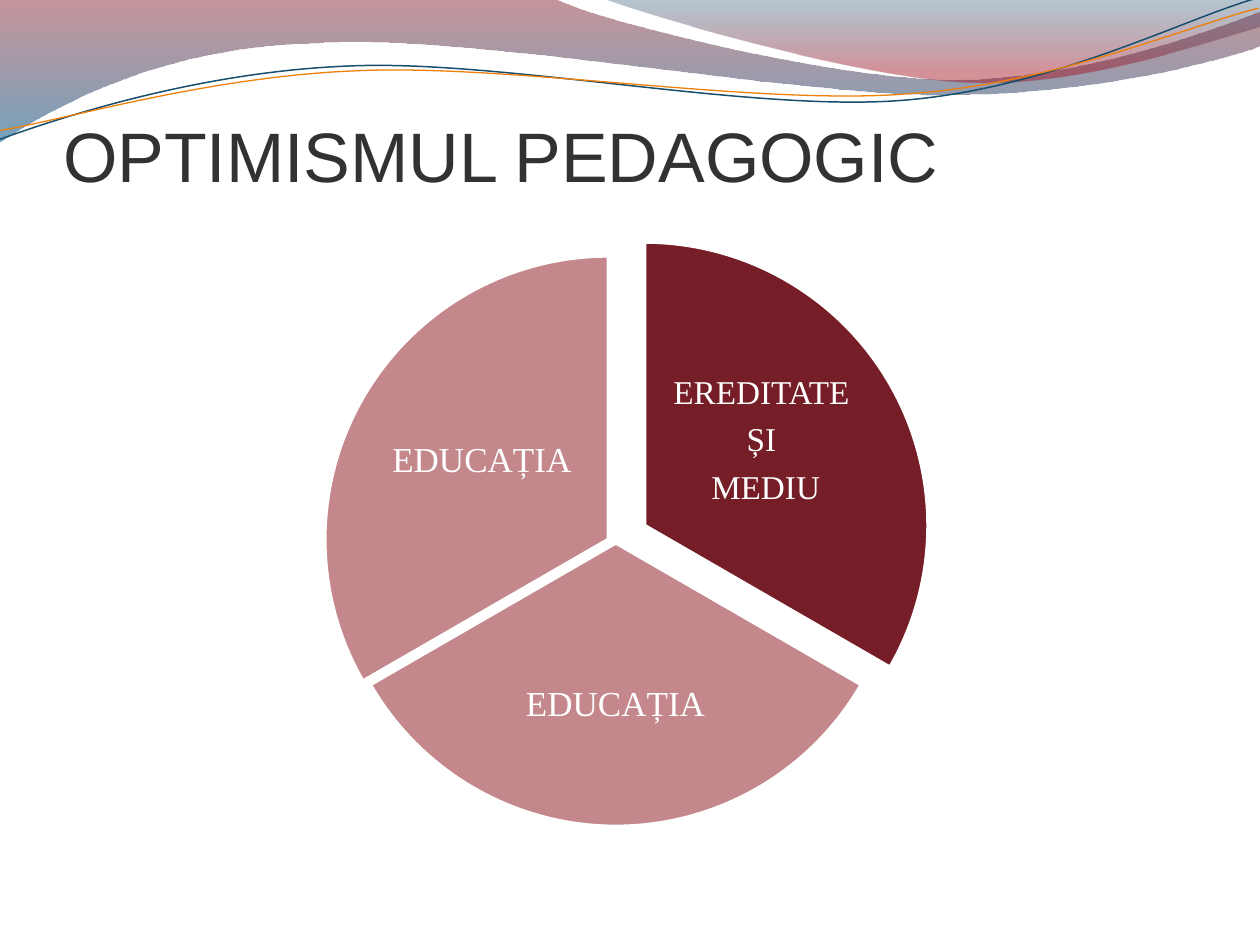
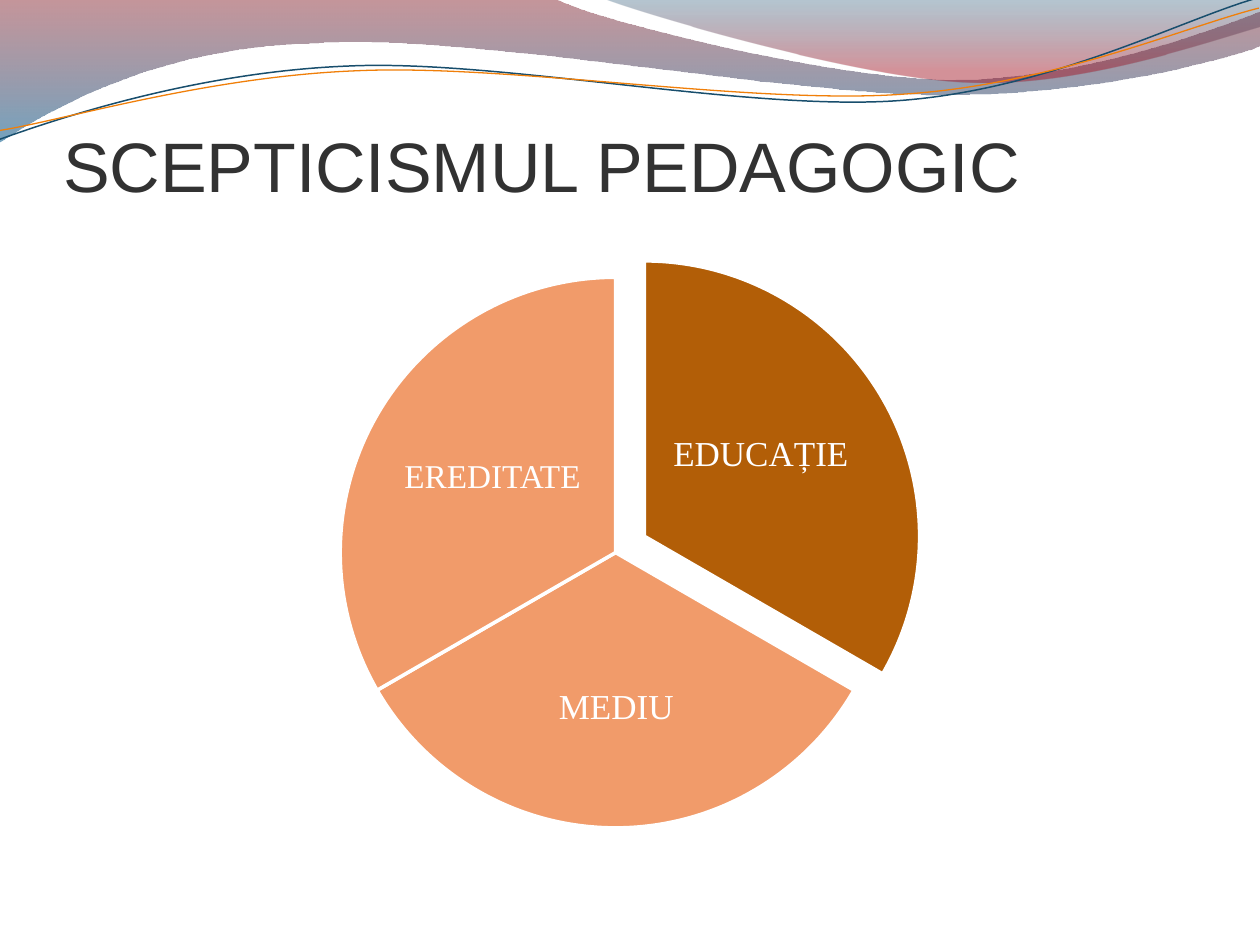
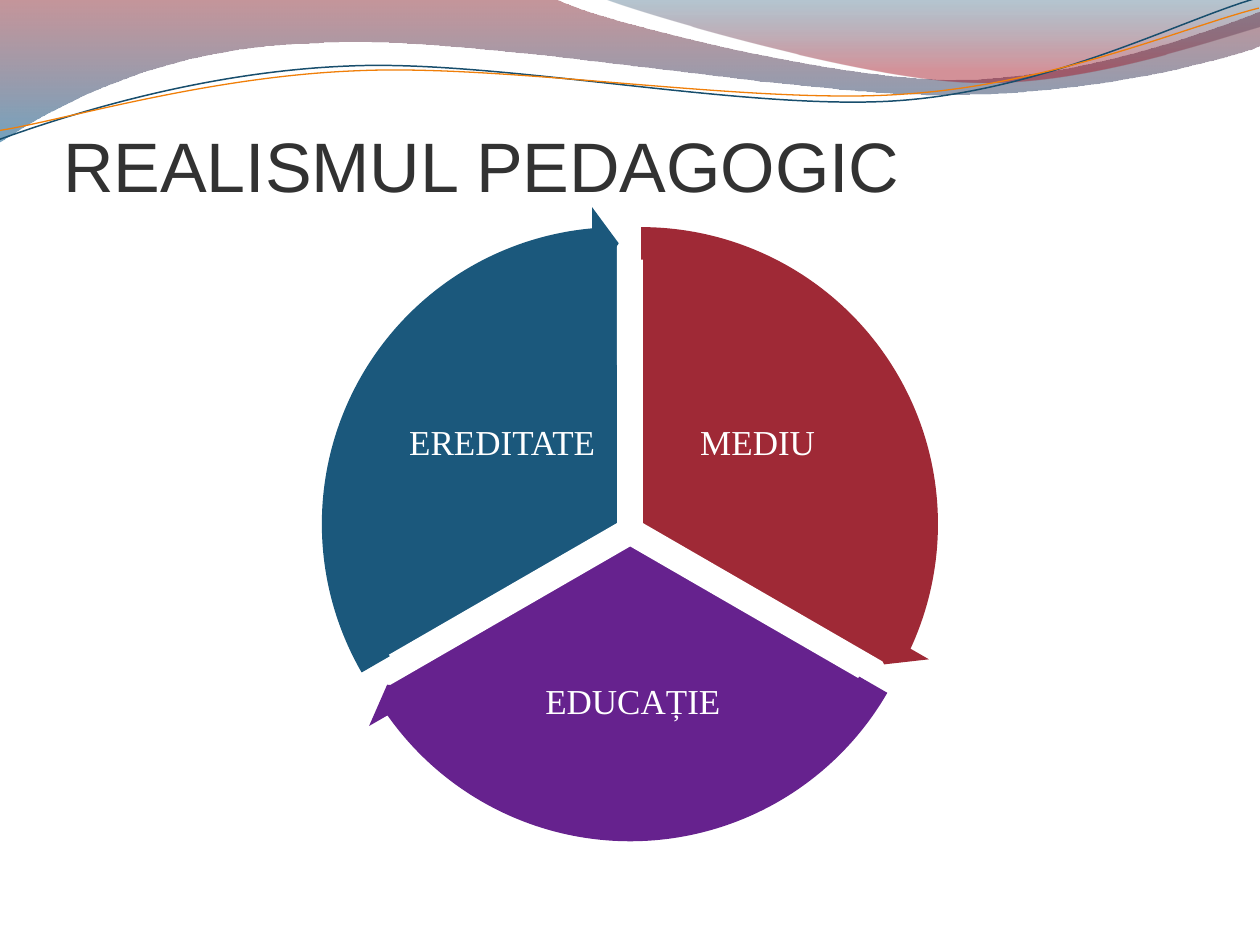
from lxml.etree import SubElement
from pptx import Presentation
from pptx.dml.color import RGBColor
from pptx.enum.shapes import MSO_SHAPE
from pptx.enum.text import MSO_ANCHOR, MSO_AUTO_SIZE, PP_ALIGN
from pptx.oxml.ns import qn
from pptx.util import Cm, Pt

WHITE, TITLE_GREY = "FFFFFF", "323232"
TITLE_FONT, LABEL_FONT = "Arial", "Times New Roman"
PIE_ANGLES = [(162, 18), (18, 90), (90, 162)]
ARROW_THICKNESS, ARROW_HEAD_WIDTH = 5.1 / 100, 5.9 / 100
ARROW_HEAD_ANGLE = 3.28
ARROW_MARGIN = 0.7
WAVE_LINE_ROTATION = 357.3

# Each wave is a list of points in inches: a pair is a corner, six numbers a Bezier curve.
# Gradient stops are position, colour, opacity in percent.
BANDS = [
    ([(0, 0), (4.4, -0.01), (4.76, 0.17, 6.64, 0.63, 7.58, 0.63),
      (8.53, 0.63, 9.58, 0.26, 10, 0.09), (10.01, 0.36),
      (9.83, 0.44, 8.7, 0.76, 7.46, 0.75), (6.22, 0.75, 3.82, 0.28, 2.57, 0.34),
      (1.29, 0.36, 0.46, 0.83, -0.01, 1.13), (0, 0)],
     [(0, "7E1621", 45), (1, "005689", 55)]),
    ([(4.79, -0.01), (5.09, 0.11, 6.82, 0.62, 7.69, 0.65),
      (8.56, 0.69, 9.61, 0.32, 10, 0.21), (10, 0), (4.79, -0.01)],
     [(0, "094467", 30), (0.8, "A10F1F", 45)]),
]
WAVE_LINES = [
    ([(-0.02, 0.87), (0.47, 0.72, 1.58, 0.41, 2.77, 0.42),
      (3.96, 0.42, 5.91, 0.93, 7.12, 0.9), (8.32, 0.87, 9.4, 0.36, 10, 0.22)],
     "184E6D", 0.85),
    ([(-0.02, 0.8), (0.46, 0.75, 1.64, 0.45, 2.83, 0.46),
      (4.04, 0.46, 5.96, 0.88, 7.16, 0.85), (8.35, 0.83, 9.42, 0.42, 10.01, 0.3)],
     "F07F09", 0.75),
]

# Each sector: colour, pie left and top, label box, label size, label lines (lengths in cm).
SLIDES = [
    {"title": "OPTIMISMUL PEDAGOGIC", "title_height": 2.01, "diameter": 11.43, "arrows": False,
     "sectors": [
         ("761E28", (7.28, 4.88), (13.49, 6.99, 3.89, 3.81), 19, "EREDITATE \nȘI \nMEDIU"),
         ("C3878C", (6.7, 5.23), (9.83, 12.45, 5.16, 3.53), 20, "EDUCAȚIA"),
         ("C3878C", (6.55, 5.16), (7.77, 7.39, 3.89, 3.81), 20, "EDUCAȚIA")]},
    {"title": "SCEPTICISMUL PEDAGOGIC", "title_height": 2.21, "diameter": 11.1, "arrows": False,
     "sectors": [
         ("B25E07", (7.44, 5.26), (13.46, 7.32, 3.76, 3.71), 20, "EDUCAȚIE"),
         ("F19B6A", (6.86, 5.59), (9.91, 12.57, 5.03, 3.43), 20, "MEDIU"),
         ("F19B6A", (6.86, 5.59), (8.05, 7.77, 3.76, 3.71), 19, "EREDITATE")]},
    {"title": "REALISMUL PEDAGOGIC", "title_height": 2.21, "diameter": 11.43, "arrows": True,
     "sectors": [
         ("9F2936", (7.21, 4.85), (13.23, 7.26, 4.09, 3.4), 20, "MEDIU"),
         ("66228E", (6.99, 5.26), (9.7, 12.67, 6.12, 3), 20, "EDUCAȚIE"),
         ("1B587C", (6.76, 4.85), (8.08, 7.26, 4.09, 3.4), 20, "EREDITATE")]},
]


def color(hex_string):
    return RGBColor.from_string(hex_string)


def add_wave(slide, segments, close):
    """Draw corners and Bezier curves, given in inches, as one freeform."""
    points = [(Cm(2.54 * x), Cm(2.54 * y))
              for segment in segments for x, y in zip(segment[::2], segment[1::2])]
    builder = slide.shapes.build_freeform(*points[0])
    builder.add_line_segments(points[1:], close=close)
    wave = builder.convert_to_shape()
    wave.shadow.inherit = False
    # Join the three line segments of every curve into one Bezier segment
    line_segments = iter(wave._element.spPr.findall(".//" + qn("a:lnTo")))
    for segment in segments[1:]:
        first = next(line_segments)
        if len(segment) == 6:
            first.tag = qn("a:cubicBezTo")
            for _ in range(2):
                following = next(line_segments)
                first.append(following[0])
                following.getparent().remove(following)
    return wave


presentation = Presentation()
presentation.slide_width = Cm(25.4)
presentation.slide_height = Cm(19.05)
layout = presentation.slide_layouts[5]
slides = [presentation.slides.add_slide(layout) for _ in SLIDES]

# Waves shared by all slides, moved to the master once drawn
waves = []
for segments, stops in BANDS:
    band = add_wave(slides[0], segments, close=True)
    band.line.fill.background()
    band.fill.gradient()
    band.fill.gradient_angle = 270
    for gradient_stop, (position, hex_string, _) in zip(band.fill.gradient_stops, stops):
        gradient_stop.position = position
        gradient_stop.color.rgb = color(hex_string)
    stop_colors = band._element.spPr.findall(".//" + qn("a:srgbClr"))
    for stop_color, (_, _, opacity) in zip(stop_colors, stops):
        SubElement(stop_color, qn("a:alpha"), val=str(opacity * 1000))
    waves.append(band)
for segments, hex_string, width in WAVE_LINES:
    wave_line = add_wave(slides[0], segments, close=False)
    wave_line.rotation = WAVE_LINE_ROTATION
    wave_line.fill.background()
    wave_line.line.color.rgb = color(hex_string)
    wave_line.line.width = Pt(width)
    waves.append(wave_line)
for number, wave in enumerate(waves, start=20):
    wave._element.nvSpPr.cNvPr.set("id", str(number))
    presentation.slide_master.shapes._spTree.append(wave._element)

for slide, content in zip(slides, SLIDES):
    title = slide.shapes.title
    title.left, title.top = Cm(1.27), Cm(1.96)
    title.width, title.height = Cm(22.86), Cm(content["title_height"])
    frame = title.text_frame
    frame.text = content["title"]
    frame.auto_size = MSO_AUTO_SIZE.NONE
    frame.vertical_anchor = MSO_ANCHOR.BOTTOM
    frame.margin_left = frame.margin_right = frame.margin_bottom = 0
    frame.margin_top = Cm(0.13)
    frame.paragraphs[0].alignment = PP_ALIGN.LEFT
    title_font = frame.paragraphs[0].runs[0].font
    title_font.name, title_font.size = TITLE_FONT, Pt(40)
    title_font.color.rgb = color(TITLE_GREY)

    diameter = content["diameter"]
    for angles, (fill, (left, top), label_box, size, text) in zip(PIE_ANGLES, content["sectors"]):
        sector = slide.shapes.add_shape(
            MSO_SHAPE.PIE, Cm(left), Cm(top), Cm(diameter), Cm(diameter))
        sector.adjustments[0], sector.adjustments[1] = angles
        sector.shadow.inherit = False
        sector.fill.solid()
        sector.fill.fore_color.rgb = color(fill)
        sector.line.color.rgb = color(WHITE)
        sector.line.width = Pt(2)

        label = slide.shapes.add_textbox(*[Cm(length) for length in label_box])
        frame = label.text_frame
        frame.word_wrap = True
        frame.vertical_anchor = MSO_ANCHOR.MIDDLE
        frame.margin_left = frame.margin_right = Cm(0.07)
        frame.margin_top = frame.margin_bottom = Cm(0.07)
        frame.text = text
        for paragraph in frame.paragraphs:
            paragraph.alignment = PP_ALIGN.CENTER
            paragraph.line_spacing = 0.9
            paragraph.space_after = Pt(0.35 * size)
            label_font = paragraph.runs[0].font
            label_font.name, label_font.size = LABEL_FONT, Pt(size)
            label_font.color.rgb = color(WHITE)

    if content["arrows"]:
        arrow_size = Cm(diameter + 2 * ARROW_MARGIN)
        for (start, end), (fill, (left, top), *_) in zip(PIE_ANGLES, content["sectors"]):
            arrow = slide.shapes.add_shape(
                MSO_SHAPE.CIRCULAR_ARROW, Cm(left - ARROW_MARGIN), Cm(top - ARROW_MARGIN),
                arrow_size, arrow_size)
            settings = (ARROW_THICKNESS, ARROW_HEAD_ANGLE, end - ARROW_HEAD_ANGLE,
                        start, ARROW_HEAD_WIDTH)
            for index, value in enumerate(settings):
                arrow.adjustments[index] = value
            arrow.shadow.inherit = False
            arrow.fill.solid()
            arrow.fill.fore_color.rgb = color(fill)
            arrow.line.fill.background()

presentation.save("out.pptx")
